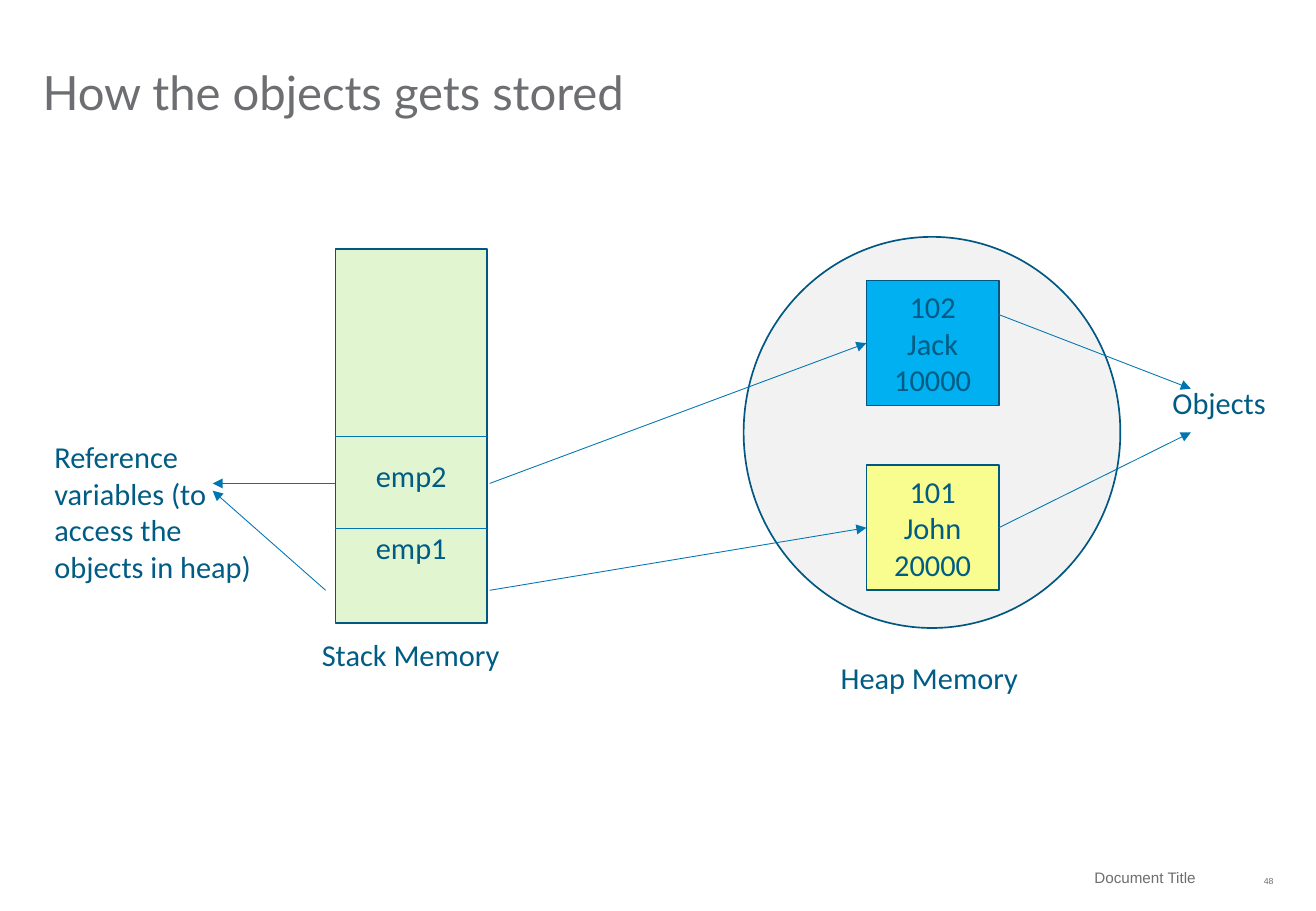
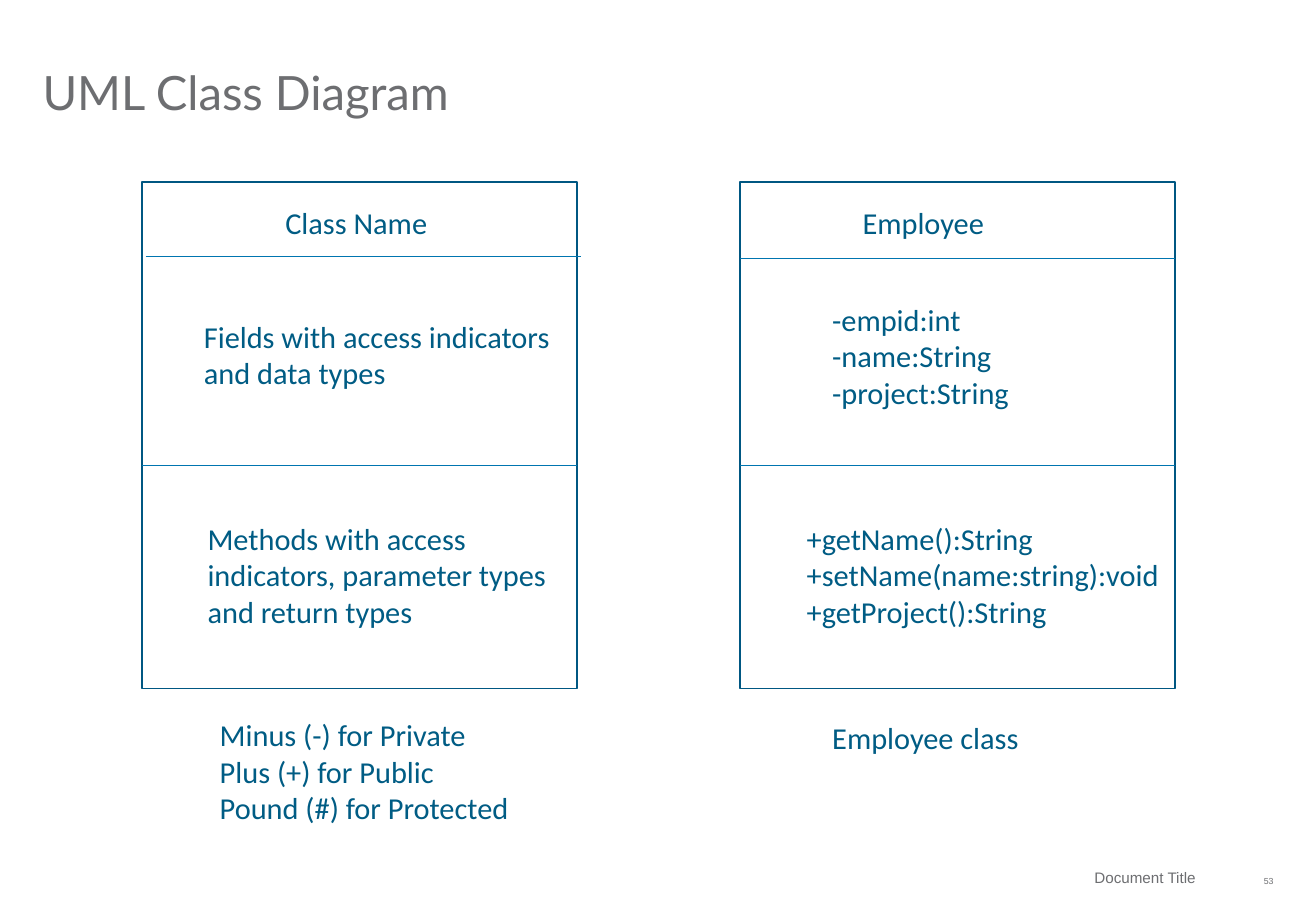
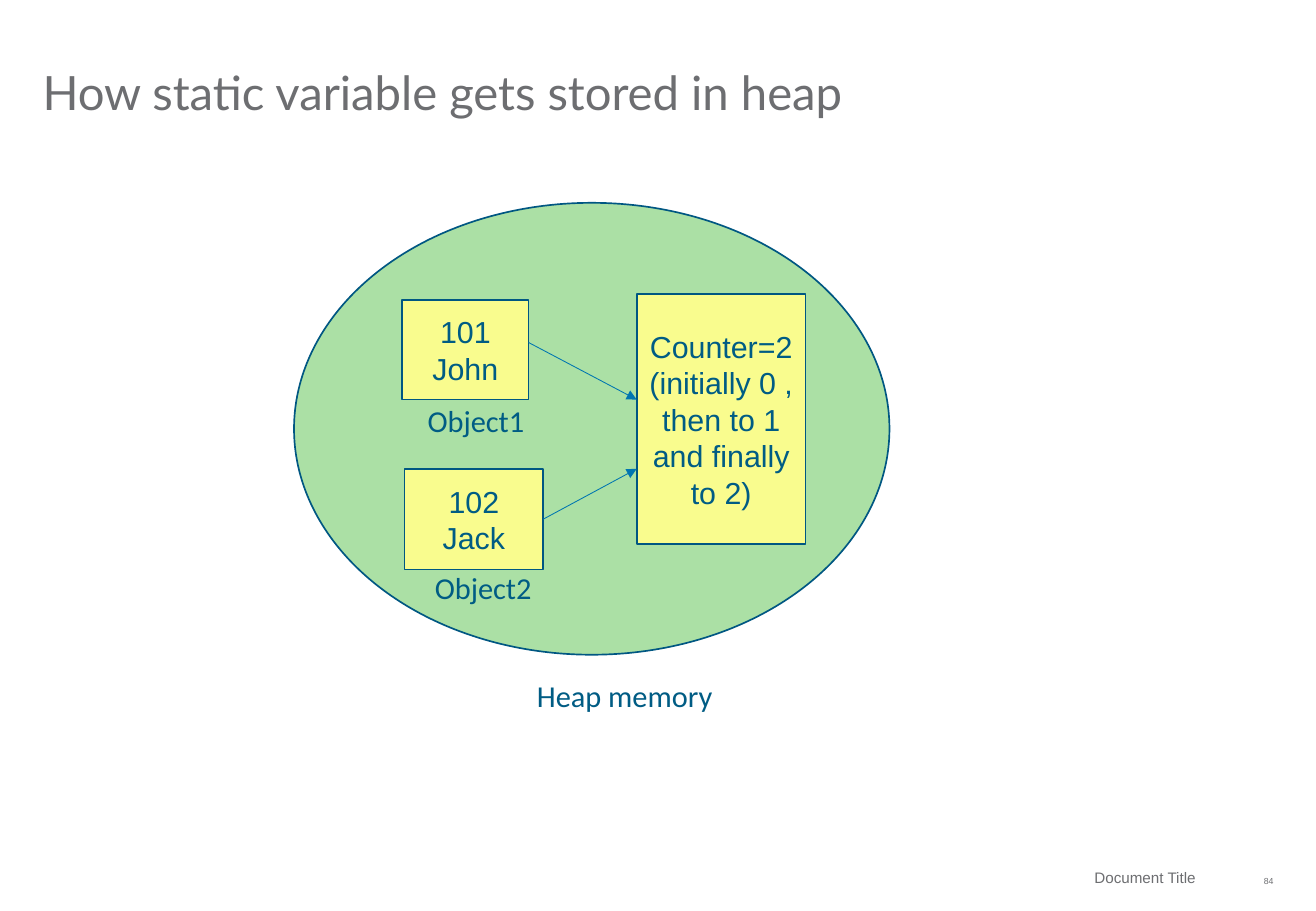
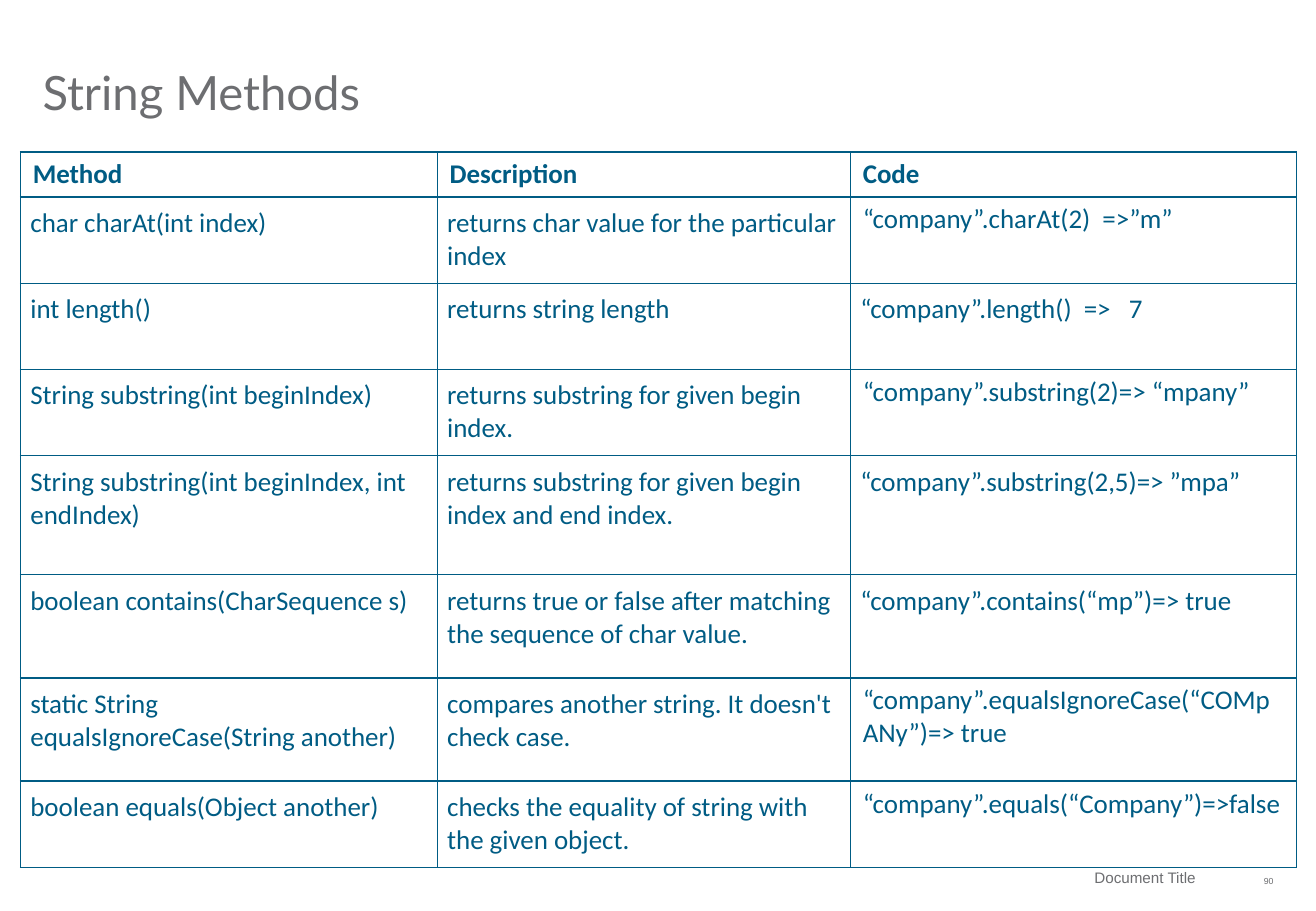
from lxml.etree import SubElement
from pptx import Presentation
from pptx.dml.color import RGBColor
from pptx.enum.shapes import MSO_CONNECTOR as CONN, MSO_SHAPE as SHAPE
from pptx.enum.text import MSO_ANCHOR as ANCHOR, MSO_AUTO_SIZE as FIT, PP_ALIGN as ALIGN
from pptx.oxml.ns import qn
from pptx.util import Inches, Pt

CELL = Inches(0.1)
INK, EDGE, ARROW, GREY = "005C84", "005782", "0075B0", "6D6E71"
WHITE, YELLOW, SKY = "FFFFFF", "F9FC8E", "00B0F0"
LIME, GREEN, SILVER = "E1F5D1", "ABE0A5", "F2F2F2"
rgb = RGBColor.from_string


def grid(*cells):
    return [int(c * CELL) for c in cells]


def write(tf, lines, font="Calibri", size=18, color=INK, align=ALIGN.LEFT, bold=False):
    tf.word_wrap = True
    for i, line in enumerate(lines):
        p = tf.paragraphs[0] if i == 0 else tf.add_paragraph()
        p.alignment = align
        r = p.add_run()
        r.text = line
        r.font.name, r.font.size, r.font.bold = font, Pt(size), bold
        r.font.color.rgb = rgb(color)


CARD_LEFT, CARD_TOP, CARD_W, CARD_H = (11.7, 60.9), 15, 35.8, 41.7

pages = [
    dict(
        title="How the objects gets stored", number="48", font="Calibri",
        boxes=[
            ("heap", SHAPE.OVAL, (61.2, 19.5, 31, 32.2), SILVER, []),
            ("stack", SHAPE.RECTANGLE, (27.6, 20.5, 12.5, 30.8), LIME, ["emp2", "emp1"]),
            ("jack", SHAPE.RECTANGLE, (71.3, 23.1, 10.9, 10.3), SKY, ["102", "Jack", "10000"]),
            ("john", SHAPE.RECTANGLE, (71.3, 38.3, 10.9, 10.3), YELLOW, ["101", "John", "20000"]),
        ],
        labels=[
            ((25.5, 51.9, 18.6, 4.5), ["Stack Memory"]),
            ((68.2, 53.8, 18.6, 4.5), ["Heap Memory"]),
            ((95.5, 31.1, 12.5, 4.5), ["Objects"]),
            ((3.5, 35.6, 19.3, 13.1), ["Reference variables (to access the objects in heap)"]),
        ],
        dividers=[(("stack", 1), ("stack", 3)), ((27.6, 43.5), (40.1, 43.5))],
        arrows=[
            ((40.3, 48.6), ("john", 1)),
            ((40.3, 39.8), ("jack", 1)),
            ((82.2, 25.9), (98, 32)),
            (("john", 3), (98, 35.6)),
            ((27.6, 39.8), (17.5, 39.8)),
            ((26.8, 48.6), (17.5, 40.4)),
        ],
    ),
    dict(
        title="UML Class Diagram", number="53", font="Calibri",
        boxes=[
            (f"card{i}", SHAPE.RECTANGLE, (x, CARD_TOP, CARD_W, CARD_H), WHITE, [])
            for i, x in enumerate(CARD_LEFT)
        ],
        labels=[
            ((22.5, 16.3, 25, 4), ["Class Name"]),
            ((15.8, 25.7, 31.7, 7.1), ["Fields with access indicators and data types"]),
            ((16.1, 42.3, 31.7, 10.1),
             ["Methods with access indicators, parameter types and return types"]),
            ((17.1, 58.5, 47.2, 12.5),
             ["Minus (-) for Private", "Plus (+) for Public", "Pound (#) for Protected"]),
            ((70, 16.3, 26, 4), ["Employee"]),
            ((67.5, 24.3, 29.3, 10.1), ["-empid:int", "-name:String", "-project:String"]),
            ((65.4, 42.3, 31.7, 10.1),
             ["+getName():String", "+setName(name:string):void", "+getProject():String"]),
            ((67.5, 58.7, 23.8, 4), ["Employee class"]),
        ],
        dividers=[
            ((x, y), (x + CARD_W, y))
            for x, y in [(12, 21.1), (CARD_LEFT[1], 21.3)] + [(x, 38.3) for x in CARD_LEFT]
        ],
        arrows=[],
    ),
    dict(
        title="How static variable gets stored in heap", number="84", font="Arial",
        boxes=[
            ("static heap", SHAPE.OVAL, (24.2, 16.7, 49, 37.2), GREEN, []),
            ("object1", SHAPE.RECTANGLE, (33.1, 24.7, 10.4, 8.2), YELLOW, ["101", "John"]),
            ("object2", SHAPE.RECTANGLE, (33.3, 38.6, 11.4, 8.3), YELLOW, ["102", "Jack"]),
            ("counter", SHAPE.RECTANGLE, (52.4, 24.2, 13.9, 20.6), YELLOW,
             ["Counter=2 (initially 0 , then to 1 and finally to 2)"]),
        ],
        labels=[
            ((34.2, 32.6, 18.3, 4), ["Object1"]),
            ((34.8, 46.4, 18.3, 4), ["Object2"]),
            ((43.2, 55.3, 18.3, 4), ["Heap memory"]),
        ],
        dividers=[],
        arrows=[((43.5, 28.2), (52.4, 32.9)), (("object2", 3), (52.4, 38.6))],
    ),
    dict(title="String Methods", number="90", font="Calibri",
         boxes=[], labels=[], dividers=[], arrows=[]),
]

prs = Presentation()
prs.slide_width, prs.slide_height = Inches(10.83), Inches(7.5)
boxes = {}

for page in pages:
    s = prs.slides.add_slide(prs.slide_layouts[5])
    title = s.shapes.title
    title.left, title.top, title.width, title.height = grid(3.5, 2.2, 101.3, 7.7)
    number = s.shapes.add_textbox(*grid(100.9, 70.5, 3.9, 3.3))
    footer = s.shapes.add_textbox(*grid(61.9, 70.8, 38, 2.8))
    for sp, anchor in ((title, ANCHOR.BOTTOM), (number, ANCHOR.MIDDLE), (footer, ANCHOR.MIDDLE)):
        tf = sp.text_frame
        tf.auto_size, tf.vertical_anchor = FIT.NONE, anchor
        tf.margin_left = tf.margin_top = tf.margin_right = tf.margin_bottom = 0
    write(title.text_frame, [page["title"]], "Lato", 28, GREY)
    title.text_frame.paragraphs[0].line_spacing = 0.9
    write(number.text_frame, [page["number"]], "Arial", 9, GREY, ALIGN.RIGHT)
    r = number.text_frame.paragraphs[0].runs[0]
    r._r.get_or_add_rPr().set("baseline", "-25000")
    footer.text_frame.margin_right = Inches(0.15)
    write(footer.text_frame, ["Document Title"], "Arial", 9, GREY, ALIGN.RIGHT)

    for name, kind, place, fill, lines in page["boxes"]:
        sp = boxes[name] = s.shapes.add_shape(kind, *grid(*place))
        sp.shadow.inherit = False
        sp.fill.solid()
        sp.fill.fore_color.rgb = rgb(fill)
        sp.line.color.rgb = rgb(EDGE)
        sp.line.width = Pt(1)
        sp.text_frame.vertical_anchor = ANCHOR.MIDDLE
        write(sp.text_frame, lines, page["font"], align=ALIGN.CENTER)

    for place, lines in page["labels"]:
        write(s.shapes.add_textbox(*grid(*place)).text_frame, lines)

    for kind in ("dividers", "arrows"):
        for start, end in page[kind]:
            c = s.shapes.add_connector(CONN.STRAIGHT, 0, 0, 0, 0)
            if start[0] in boxes:
                c.begin_connect(boxes[start[0]], start[1])
            else:
                c.begin_x, c.begin_y = grid(*start)
            if end[0] in boxes:
                c.end_connect(boxes[end[0]], end[1])
            else:
                c.end_x, c.end_y = grid(*end)
            c.line.color.rgb = rgb(ARROW)
            c.line.width = Pt(0.5)
            if kind == "arrows":
                SubElement(c.line._get_or_add_ln(), qn("a:tailEnd"), type="triangle")
            SubElement(c._element.spPr, qn("a:effectLst"))

tf = boxes["stack"].text_frame
tf.vertical_anchor, tf.margin_bottom = ANCHOR.BOTTOM, Inches(0.47)
for p in tf.paragraphs:
    p.line_spacing = 2.0

rows = [
    ("Method", "Description", "Code"),
    ("char charAt(int index)", "returns char value for the particular index",
     "“company”.charAt(2)  =>”m”"),
    ("int length()", "returns string length", "“company”.length()  =>   7"),
    ("String substring(int beginIndex)", "returns substring for given begin index.",
     "“company”.substring(2)=> “mpany”"),
    ("String substring(int beginIndex, int endIndex)",
     "returns substring for given begin index and end index.",
     "“company”.substring(2,5)=> ”mpa”"),
    ("boolean contains(CharSequence s)",
     "returns true or false after matching the sequence of char value.",
     "“company”.contains(“mp”)=> true"),
    ("static String equalsIgnoreCase(String another)",
     "compares another string. It doesn't check case.",
     "“company”.equalsIgnoreCase(“COMpANy”)=> true"),
    ("boolean equals(Object another)", "checks the equality of string with the given object.",
     "“company”.equals(“Company”)=>false"),
]
widths = grid(34.3, 34, 36.7)
heights = grid(3.7, 7.1, 7.1, 7.1, 9.8, 8.5, 8.5, 7.1)
left, top = grid(1.7, 12.5)
table = s.shapes.add_table(len(rows), 3, left, top, sum(widths), sum(heights)).table
table.first_row = table.horz_banding = False
for column, width in zip(table.columns, widths):
    column.width = width
for i, (row, height) in enumerate(zip(rows, heights)):
    table.rows[i].height = height
    for j, text in enumerate(row):
        cell = table.cell(i, j)
        write(cell.text_frame, [text], size=16, bold=i == 0)
        if i > 0 and (j < 2 or i in (2, 4, 5)):
            cell.margin_left = cell.margin_right = Inches(0.08)
            cell.margin_top = cell.margin_bottom = Inches(0.08)
        tcPr = cell._tc.get_or_add_tcPr()
        for side in ("a:lnL", "a:lnR", "a:lnT", "a:lnB"):
            ln = SubElement(tcPr, qn(side), w=str(Pt(1)))
            SubElement(SubElement(ln, qn("a:solidFill")), qn("a:srgbClr"), val=INK)
        cell.fill.solid()
        cell.fill.fore_color.rgb = rgb(WHITE)

prs.save("out.pptx")
